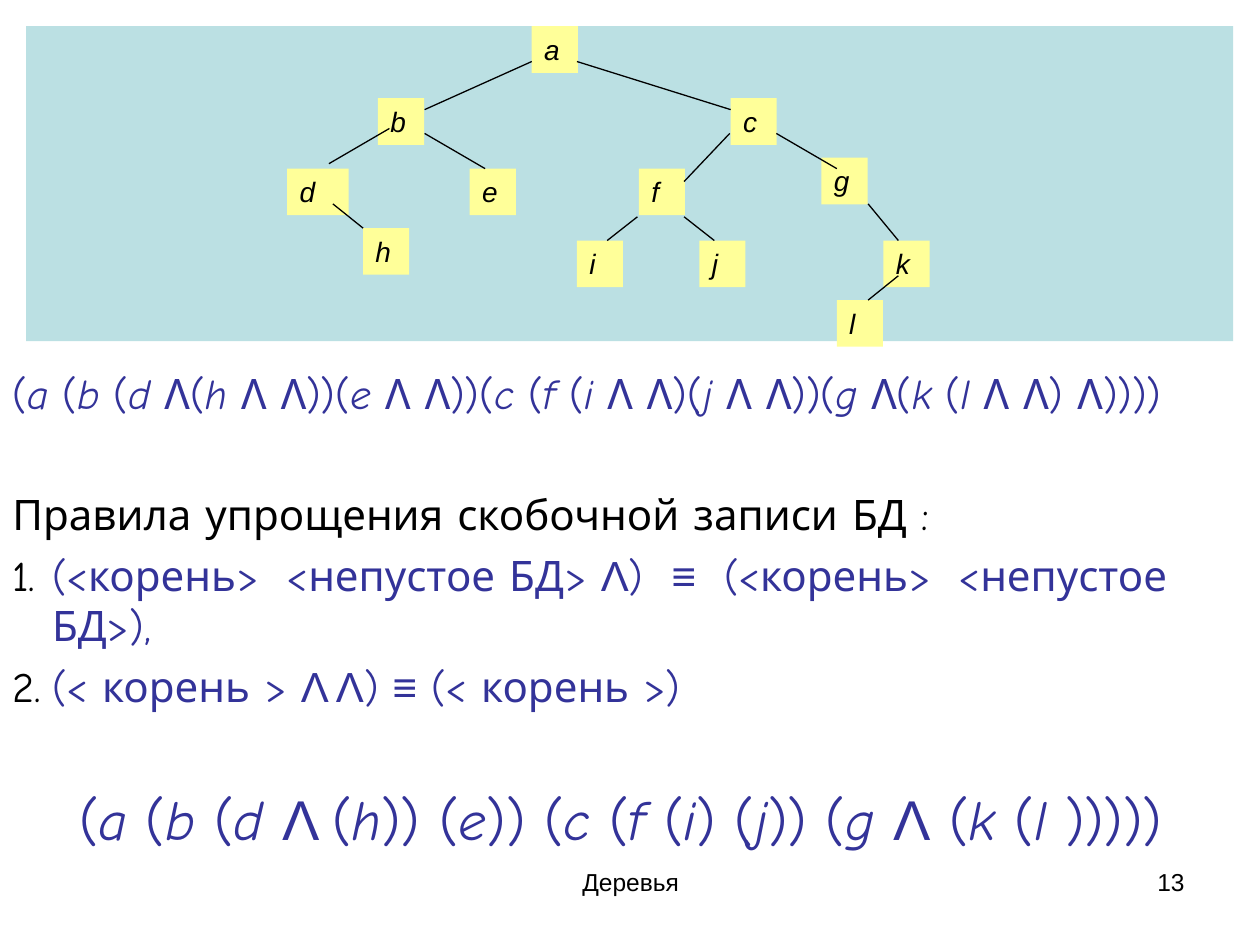
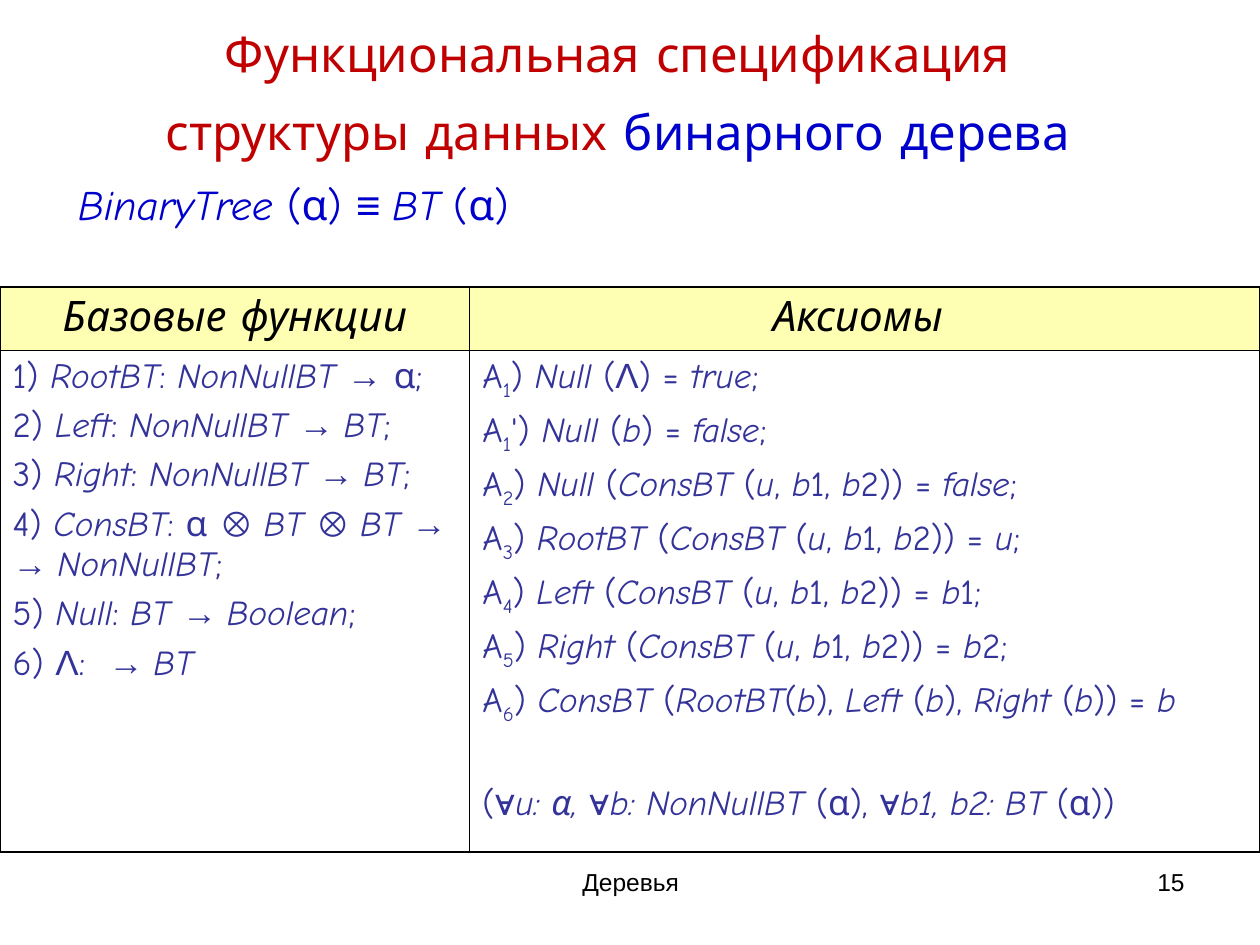
from itertools import groupby

from lxml import etree
from pptx import Presentation
from pptx import util as u
from pptx.dml import color as dml
from pptx.enum import shapes, text
from pptx.oxml import ns

COLORS = {
    "ink": "000000",
    "formula": "333399",
    "title": "C00000",
    "accent": "0000CC",
    "panel": "BBE0E3",
    "node": "FFFF99",
    "header": "FFFFB3",
}
BODY, SYMBOL = "Comic Neue", "Arial"
MARKS = ITALIC, ARIAL, SUB, ACCENT = tuple("*~_^")
LEFT, CENTER, RIGHT = text.PP_ALIGN.LEFT, text.PP_ALIGN.CENTER, text.PP_ALIGN.RIGHT
OUTER, INNER = 1.08, 0.45

NODES = {
    "a": (10.72, 0.53), "b": (7.62, 1.98), "c": (14.73, 1.98),
    "d": (5.79, 3.4), "e": (9.47, 3.4), "f": (12.88, 3.4), "g": (16.56, 3.18),
    "h": (7.32, 4.6), "i": (11.63, 4.85), "j": (14.1, 4.85),
    "k": (17.81, 4.85), "l": (16.87, 6.05),
}
BRANCHES = [
    (10.72, 1.24, 8.56, 2.21), (11.63, 1.24, 14.73, 2.21),
    (7.85, 2.59, 6.63, 3.3), (8.56, 2.69, 9.78, 3.4),
    (14.71, 2.69, 13.79, 3.66), (15.65, 2.69, 16.87, 3.4),
    (6.71, 4.11, 7.32, 4.6), (12.85, 4.37, 12.24, 4.85),
    (13.79, 4.37, 14.4, 4.85), (17.5, 4.11, 18.11, 4.85),
    (18.11, 5.56, 17.5, 6.05),
]
FUNCTIONS = [
    "1) *RootBT*: *NonNullBT *~→~ α;",
    "2) *Left*: *NonNullBT *~→ ~*BT*;",
    "3) *Right*: *NonNullBT *~→ ~*BT*;",
    "4) *ConsBT*: α ~⊗ ~*BT *~⊗ ~*BT *~→ \t→ ~*NonNullBT*;",
    "5) *Null*: *BT *~→ ~*Boolean*;",
    "6) ~Λ~:  ~→ ~*BT*",
]
AXIOMS = [
    "A_1_) *Null* (~Λ~) = *true*;",
    "A_1_') *Null* (*b*) = *false*;",
    "A_2_) *Null* (*ConsBT* (*u*, *b*1, *b*2)) = *false*;",
    "A_3_) *RootBT* (*ConsBT* (*u*, *b*1, *b*2)) = *u*;",
    "A_4_) *Left* (*ConsBT* (*u*, *b*1, *b*2)) = *b*1;",
    "A_5_) *Right *(*ConsBT* (*u*, *b*1, *b*2)) = *b*2;",
    "A_6_) *ConsBT* (*RootBT*(*b*), *Left* (*b*), *Right* (*b*)) = *b*",
    ("(~∀~*u: α, *~∀~*b: NonNullBT *(α), ~∀~*b1, b2: BT *(α))", {"before": 33}),
]


def cm(*values):
    return [u.Cm(value) for value in values]


def rgb(name):
    return dml.RGBColor.from_string(COLORS[name])


class Deck:
    def __init__(self):
        self.prs = Presentation()
        self.prs.slide_width, self.prs.slide_height = cm(25.4, 19.05)
        self.slide = None

    def new_slide(self, number):
        self.slide = self.prs.slides.add_slide(self.prs.slide_layouts[6])
        footer = {"font": SYMBOL, "size": 14, "color": "ink"}
        self.text_box(8.69, 17.35, 8.05, 1.32, ["Деревья"], align=CENTER, **footer)
        self.text_box(18.21, 17.35, 5.92, 1.32, [number], align=RIGHT, **footer)

    def put_lines(self, frame, lines, **style):
        for index, line in enumerate(lines):
            markup, extra = (line, {}) if isinstance(line, str) else line
            paragraph = frame.add_paragraph() if index else frame.paragraphs[0]
            look = {**style, **extra}
            if index == 0:
                look["before"] = 0
            self.paragraph(paragraph, markup, **look)

    def paragraph(self, paragraph, markup, size=24, color="formula", font=BODY,
                  align=LEFT, before=6, numbered=False):
        paragraph.alignment = align
        paragraph.space_before = u.Pt(before)
        if numbered:
            self.number(paragraph)
        paragraph.font.name = font
        paragraph.font.size = u.Pt(size)
        paragraph.font.color.rgb = rgb(color)
        active = set()
        for is_mark, chars in groupby(markup, lambda char: char in MARKS):
            if is_mark:
                active ^= set(chars)
                continue
            run = paragraph.add_run()
            run.text = "".join(chars)
            if ITALIC in active:
                run.font.italic = True
            if ARIAL in active:
                run.font.name = SYMBOL
            if ACCENT in active:
                run.font.color.rgb = rgb("accent")
            if SUB in active:
                run._r.get_or_add_rPr().set("baseline", "-25000")

    def number(self, paragraph):
        props = paragraph._p.get_or_add_pPr()
        props.set("marL", str(u.Cm(0.8)))
        props.set("indent", str(-u.Cm(0.8)))
        shade = etree.SubElement(props, ns.qn("a:buClr"))
        etree.SubElement(shade, ns.qn("a:srgbClr"), val=COLORS["ink"])
        etree.SubElement(props, ns.qn("a:buAutoNum"), type="arabicPeriod")

    def text_box(self, left, top, width, height, lines,
                 anchor=text.MSO_ANCHOR.TOP, **style):
        box = self.slide.shapes.add_textbox(*cm(left, top, width, height))
        box.text_frame.word_wrap = True
        box.text_frame.vertical_anchor = anchor
        self.put_lines(box.text_frame, lines, **style)

    def rectangle(self, left, top, width, height, fill, label=None):
        box = self.slide.shapes.add_shape(
            shapes.MSO_SHAPE.RECTANGLE, *cm(left, top, width, height))
        box.shadow.inherit = False
        box.fill.solid()
        box.fill.fore_color.rgb = rgb(fill)
        box.line.fill.background()
        if label:
            box.text_frame.vertical_anchor = text.MSO_ANCHOR.TOP
            self.put_lines(box.text_frame, [f"*{label}*"],
                           font=SYMBOL, size=16, color="ink")

    def line(self, *ends):
        branch = self.slide.shapes.add_connector(
            shapes.MSO_CONNECTOR.STRAIGHT, *cm(*ends))
        branch.line.color.rgb = rgb("ink")
        branch.line.width = u.Pt(0.75)
        etree.SubElement(branch._element.spPr, ns.qn("a:effectLst"))

    def borders(self, cell, widths):
        props = cell._tc.get_or_add_tcPr()
        for side, width in widths.items():
            edge = etree.SubElement(props, ns.qn(f"a:ln{side}"), w=str(u.Pt(width)))
            fill = etree.SubElement(edge, ns.qn("a:solidFill"))
            etree.SubElement(fill, ns.qn("a:srgbClr"), val=COLORS["ink"])

    def table(self, left, top, widths, heights, header, body):
        grid = self.slide.shapes.add_table(
            2, len(widths), *cm(left, top, sum(widths), sum(heights))).table
        grid.horz_banding = grid.first_row = False
        for column, width in zip(grid.columns, widths):
            column.width = u.Cm(width)
        for row, height in zip(grid.rows, heights):
            row.height = u.Cm(height)
        last = len(widths) - 1
        for col, (heading, lines) in enumerate(zip(header, body)):
            head, content = grid.cell(0, col), grid.cell(1, col)
            sides = {"L": INNER if col else OUTER, "R": OUTER if col == last else INNER}
            self.borders(head, {**sides, "T": OUTER, "B": INNER})
            self.borders(content, {**sides, "T": INNER, "B": OUTER})
            head.fill.solid()
            head.fill.fore_color.rgb = rgb("header")
            content.fill.background()
            self.put_lines(head.text_frame, [heading], color="ink", align=CENTER)
            self.put_lines(content.text_frame, lines, size=20, before=5)


def tree_slide(deck):
    deck.new_slide("13")
    deck.text_box(0, 7.29, 25.4, 9.75, [
        "(*a* (*b* (*d *Λ(*h* Λ Λ))(*e* Λ Λ))(*c *(*f* (*i* Λ Λ)(*j* Λ Λ))"
        "(*g* Λ(*k* (*l* Λ Λ) Λ))))",
        ("Правила упрощения скобочной записи БД :", {"color": "ink", "before": 40}),
        ("(<корень>  <непустое БД> ~Λ~)  ~≡~  (<корень>  <непустое БД>),",
         {"numbered": True}),
        ("(< корень > ~Λ Λ~) ~≡~ (< корень >)", {"numbered": True}),
        ("(*a* (*b* (*d *~Λ ~(*h*)) (*e*)) (*c* (*f* (*i*) (*j*)) "
         "(*g *~Λ~ (*k* (*l *))))) ", {"size": 32, "align": CENTER, "before": 42}),
    ])
    deck.rectangle(0.53, 0.53, 24.33, 6.35, "panel")
    for label, (left, top) in NODES.items():
        deck.rectangle(left, top, 1.24 if label == "d" else 0.93, 0.94, "node", label)
    for branch in BRANCHES:
        deck.line(*branch)


def specification_slide(deck):
    deck.new_slide("15")
    deck.text_box(1.02, 0.4, 22.86, 2.9, [
        "Функциональная спецификация",
        ("структуры данных ^бинарного дерева^", {"before": 11}),
    ], anchor=text.MSO_ANCHOR.MIDDLE, size=28, color="title", align=CENTER)
    deck.text_box(1.32, 3.48, 23.62, 1.7, ["*BinaryTree *(α) ~≡ ~*BT *(α)"],
                  color="accent")
    deck.table(0, 5.79, [9.47, 15.93], [1.27, 10.11],
               ["*Базовые функции*", "*Аксиомы *"], [FUNCTIONS, AXIOMS])


def main():
    deck = Deck()
    tree_slide(deck)
    specification_slide(deck)
    deck.prs.save("out.pptx")


if __name__ == "__main__":
    main()
